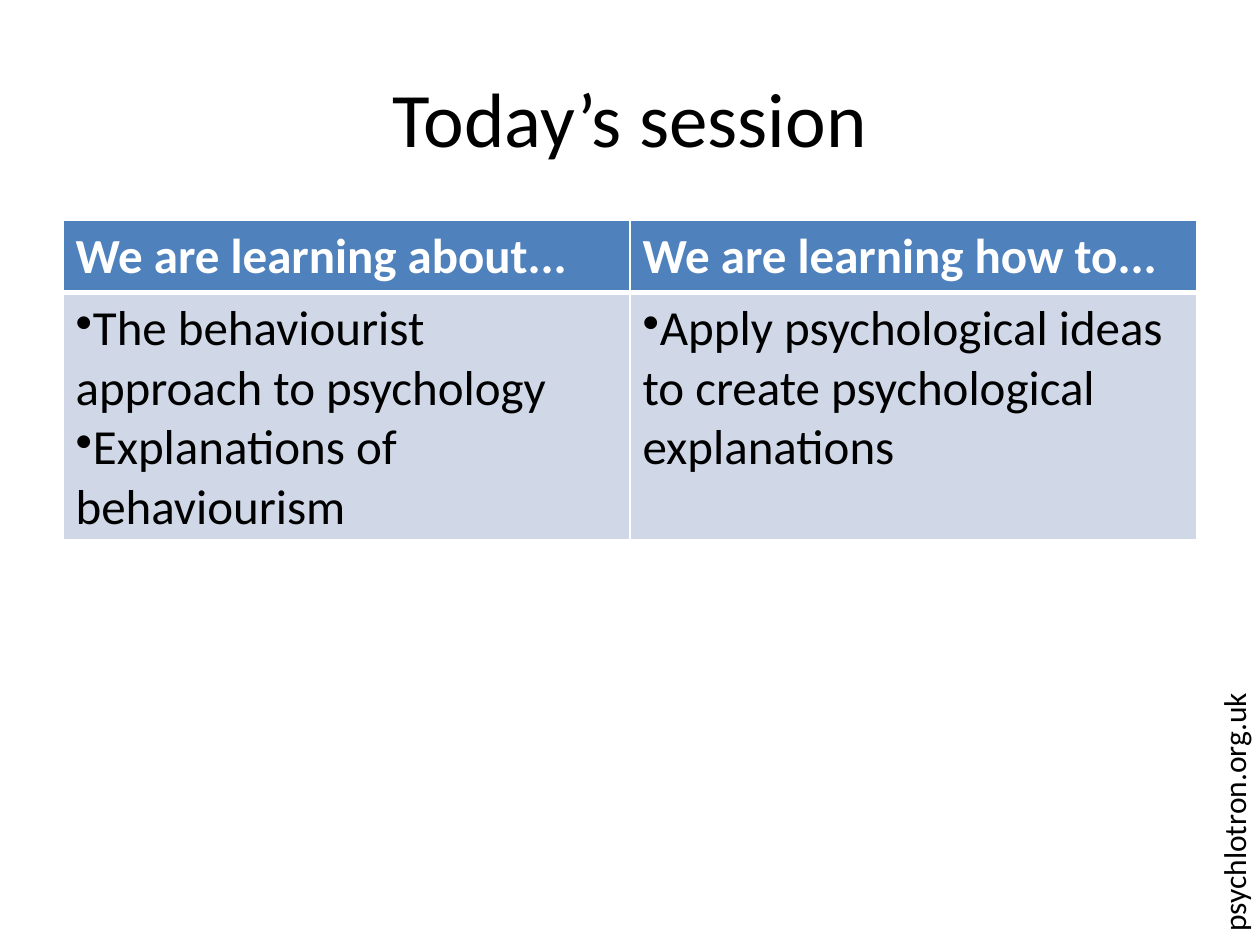
from lxml import etree
from pptx import Presentation
from pptx.dml.color import RGBColor
from pptx.enum.text import MSO_ANCHOR, PP_ALIGN
from pptx.oxml.ns import qn
from pptx.util import Pt

LEFT, CENTER = PP_ALIGN.LEFT, PP_ALIGN.CENTER
TOP, MIDDLE = MSO_ANCHOR.TOP, MSO_ANCHOR.MIDDLE
BLANK_LAYOUT = 6
COLORS = {"text": "000000", "white": "FFFFFF", "header": "4F81BD", "body": "D0D8E8"}


class SlideBuilder:
    """Holds the style and the current slide."""

    font_name = "Calibri"

    def __init__(self, slide):
        self.slide = slide

    def color(self, name):
        return RGBColor.from_string(COLORS[name])

    def add_lines(self, frame, lines, size, color="text", bold=False, align=LEFT, bullet=None):
        font_format = {"name": self.font_name, "size": Pt(size), "bold": bold}
        for index, line in enumerate(lines):
            paragraph = frame.add_paragraph() if index else frame.paragraphs[0]
            paragraph.alignment = align
            if bullet:
                properties = paragraph._p.get_or_add_pPr()
                properties.set("marL", "0")
                properties.set("indent", "0")
                etree.SubElement(properties, qn("a:buChar"), char=bullet)
            run = paragraph.add_run()
            run.text = line
            for name, value in font_format.items():
                setattr(run.font, name, value)
            run.font.color.rgb = self.color(color)

    def text(self, box, lines, size, align=LEFT, anchor=TOP, rotation=0):
        shape = self.slide.shapes.add_textbox(*map(Pt, box))
        shape.rotation = rotation
        shape.text_frame.word_wrap = True
        shape.text_frame.vertical_anchor = anchor
        self.add_lines(shape.text_frame, lines, size, align=align)

    def border(self, cell, widths):
        properties = cell._tc.get_or_add_tcPr()
        for side, width in widths.items():
            line = etree.SubElement(properties, qn(f"a:ln{side}"), w=str(Pt(width)))
            fill = etree.SubElement(line, qn("a:solidFill"))
            etree.SubElement(fill, qn("a:srgbClr"), val=COLORS["white"])

    def table(self, box, row_heights, rows, row_formats):
        shape = self.slide.shapes.add_table(len(rows), len(rows[0]), *map(Pt, box))
        table = shape.table
        for row_index, (cells, row_format) in enumerate(zip(rows, row_formats)):
            table.rows[row_index].height = Pt(row_heights[row_index])
            for column_index, lines in enumerate(cells):
                cell = table.cell(row_index, column_index)
                self.border(cell, row_format["borders"])
                cell.fill.solid()
                cell.fill.fore_color.rgb = self.color(row_format["fill"])
                self.add_lines(cell.text_frame, lines, **row_format["text"])


def main():
    presentation = Presentation()
    presentation.slide_width, presentation.slide_height = Pt(720), Pt(540)
    slide = presentation.slides.add_slide(presentation.slide_layouts[BLANK_LAYOUT])
    builder = SlideBuilder(slide)

    # Web address along the right edge
    builder.text((555, 375, 300, 29), ["psychlotron.org.uk"], 18, rotation=270)

    # Title
    builder.text((36, 21.6, 648, 90), ["Today’s session"], 44, align=CENTER, anchor=MIDDLE)

    # Learning goals
    rows = [
        [["We are learning about..."], ["We are learning how to..."]],
        [
            ["The behaviourist approach to psychology", "Explanations of behaviourism"],
            ["Apply psychological ideas to create psychological explanations"],
        ],
    ]
    header_format = {
        "fill": "header",
        "borders": {"L": 1, "R": 1, "T": 1, "B": 3},
        "text": {"size": 28, "color": "white", "bold": True},
    }
    body_format = {
        "fill": "body",
        "borders": {"L": 1, "R": 1, "T": 3, "B": 1},
        "text": {"size": 28, "bullet": "•"},
    }
    builder.table((36, 126, 648, 182), (41, 141), rows, (header_format, body_format))

    presentation.save("out.pptx")


if __name__ == "__main__":
    main()
